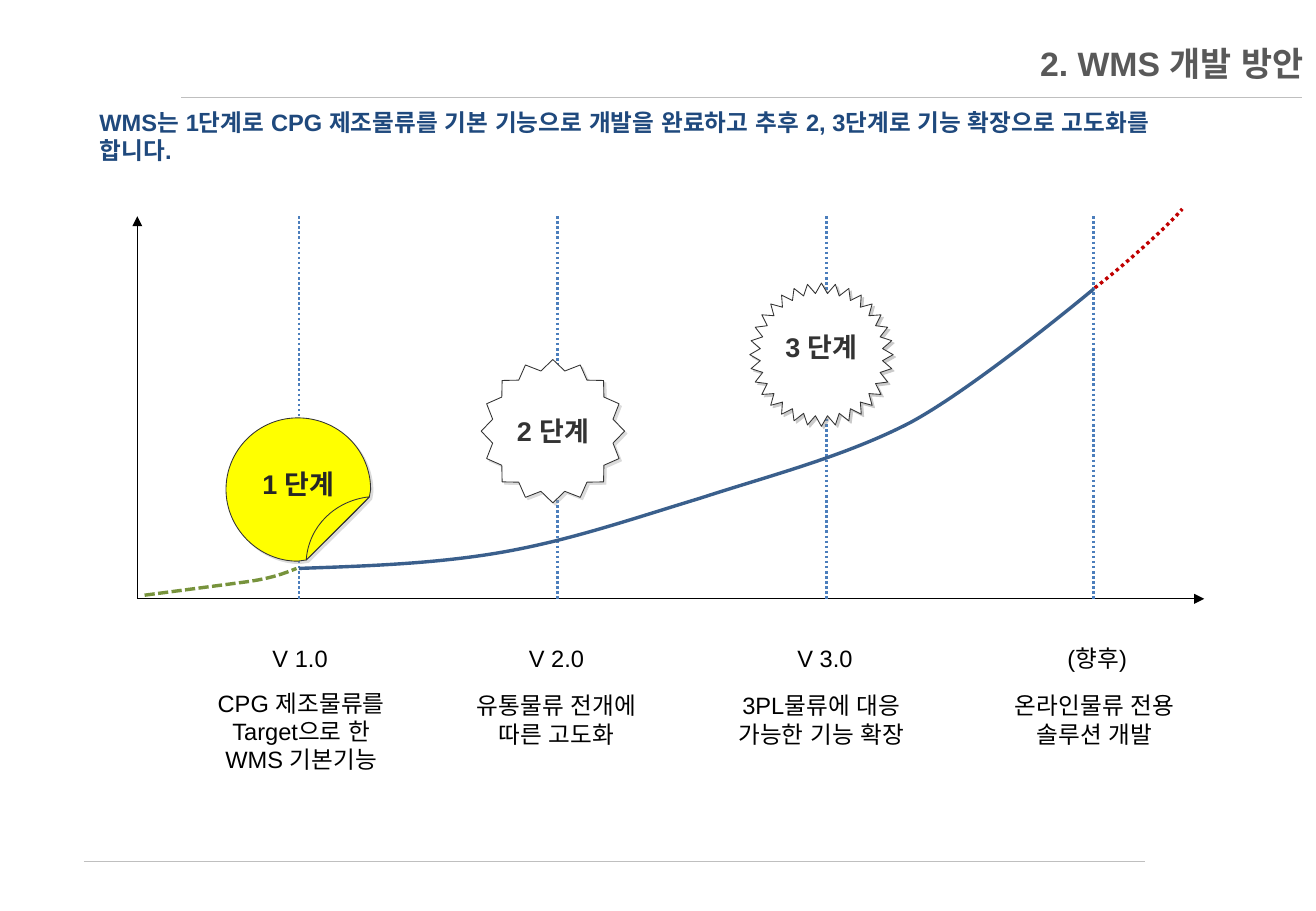
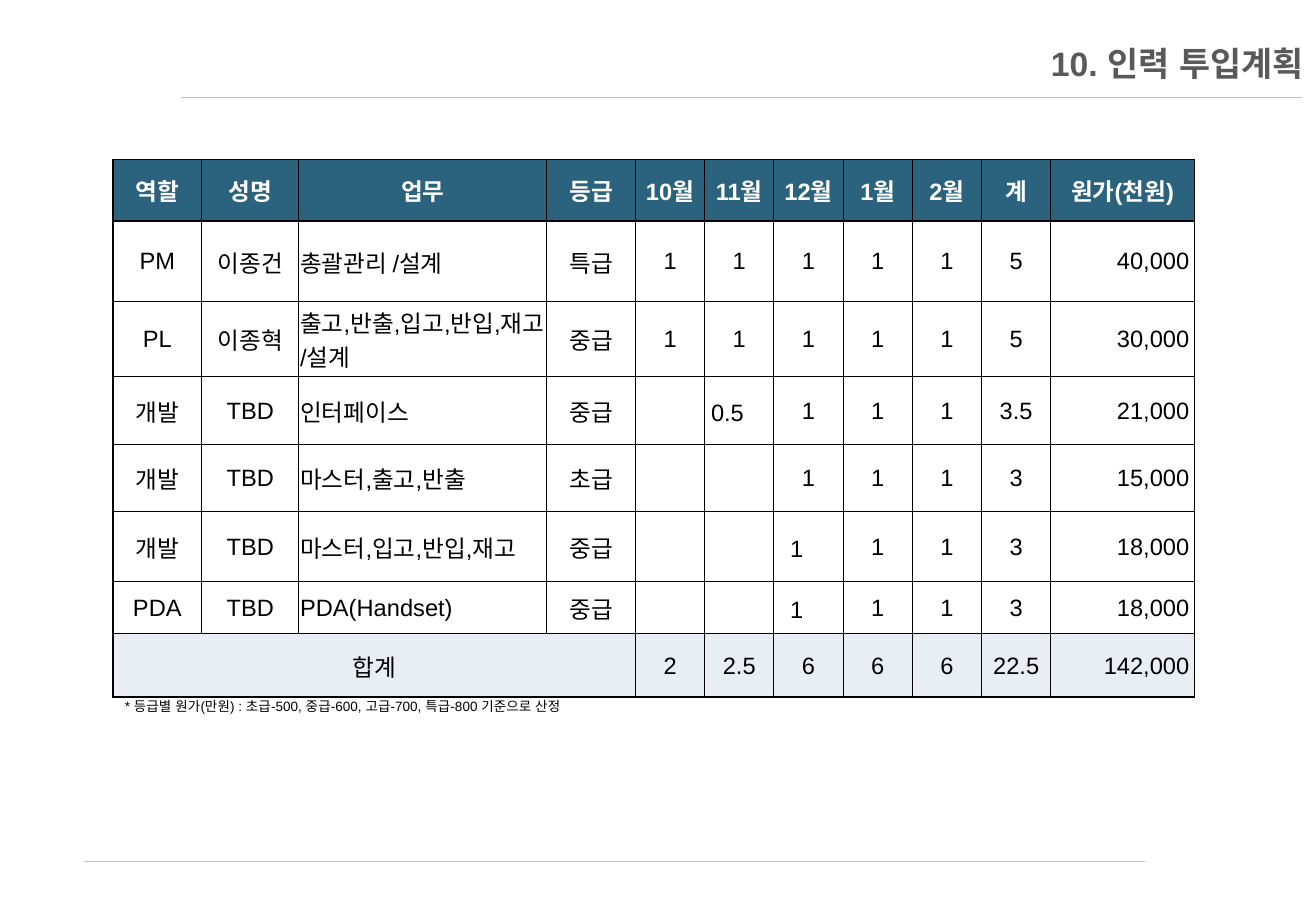
from lxml import etree
from pptx import Presentation
from pptx.dml.color import RGBColor
from pptx.enum.dml import MSO_LINE
from pptx.enum.shapes import MSO_CONNECTOR, MSO_SHAPE
from pptx.enum.text import MSO_ANCHOR, MSO_AUTO_SIZE, PP_ALIGN
from pptx.oxml.ns import qn
from pptx.util import Inches, Pt

LEFT, CENTER, RIGHT = PP_ALIGN.LEFT, PP_ALIGN.CENTER, PP_ALIGN.RIGHT
MIDDLE = MSO_ANCHOR.MIDDLE
DOT, DASH = MSO_LINE.ROUND_DOT, MSO_LINE.SQUARE_DOT
STRAIGHT = MSO_CONNECTOR.STRAIGHT
STAR_16, STAR_32 = MSO_SHAPE.STAR_16_POINT, MSO_SHAPE.STAR_32_POINT
NO_FIT, GROW = MSO_AUTO_SIZE.NONE, MSO_AUTO_SIZE.SHAPE_TO_FIT_TEXT


class Theme:
    font = "Arial"
    title_size, badge_size, body_size, note_size = 20, 16, 14, 8
    black, white = "000000", "FFFFFF"
    title_top, title_bottom = "595959", "262626"
    rule, message, guide = "BFBFBF", "1F497D", "4B7EBC"
    past, growth, future = "77933C", "3A5F8C", "C00000"
    badge_line, badge_active = "333333", "FFFF00"
    shadow, shadow_dark = "A6A6A6", "7F7F7F"
    header, total = "2B637F", "E9EDF4"


rgb = RGBColor.from_string


def write(tf, text, size, color, bold=False, align=LEFT, spacing=None, east_asian=True):
    tf.text = text
    for p in tf.paragraphs:
        p.alignment = align
        if spacing:
            p.line_spacing = Pt(spacing)
        for r in p.runs:
            r.font.name = Theme.font
            r.font.size = Pt(size)
            r.font.bold = bold
            r.font.color.rgb = rgb(color)
            if east_asian:
                latin = r.font._element.find(qn("a:latin"))
                latin.addnext(latin.makeelement(qn("a:ea"), {"typeface": Theme.font}))


def add_line(s, x1, y1, x2, y2, color, width, dash=None, arrow=False):
    line = s.shapes.add_connector(STRAIGHT, Inches(x1), Inches(y1), Inches(x2), Inches(y2))
    line.line.color.rgb = rgb(color)
    line.line.width = Pt(width)
    if dash:
        line.line.dash_style = dash
    if arrow:
        etree.SubElement(line.line._get_or_add_ln(), qn("a:tailEnd"), type="triangle")
    etree.SubElement(line.element.spPr, qn("a:effectLst"))
    return line


prs = Presentation()
prs.slide_width, prs.slide_height = Inches(10.83), Inches(7.5)
layout = prs.slide_layouts[5]

# Slides with their titles
slides = []
for title in ("2. WMS 개발 방안", "10. 인력 투입계획"):
    s = prs.slides.add_slide(layout)
    sp = s.shapes.title
    sp.left, sp.top, sp.width, sp.height = Inches(1.08), Inches(0.29), Inches(9.75), Inches(0.45)
    tf = sp.text_frame
    write(tf, title, Theme.title_size, Theme.title_top, True, RIGHT)
    tf.auto_size = NO_FIT
    tf.vertical_anchor = MIDDLE
    fill = tf.paragraphs[0].runs[0].font.fill
    fill.gradient()
    fill.gradient_angle = 90
    for stop, color in zip(fill.gradient_stops, (Theme.title_top, Theme.title_bottom)):
        stop.color.rgb = rgb(color)
    slides.append(s)
roadmap, staffing = slides

# Header and footer rules live on the shared layout
for number, (x1, x2, y) in enumerate([(1.49, 10.71, 0.8), (0.69, 9.42, 7.09)]):
    line = add_line(roadmap, x1, y, x2, y, Theme.rule, 0.25, DOT)
    line.element.xpath(".//p:cNvPr")[0].set("id", str(100 + number))
    layout.shapes.element.append(line.element)

# Roadmap: axes and version guides
s = roadmap
axis_x, axis_y, axis_top = 1.13, 4.93, 1.78
add_line(s, axis_x, axis_y, 9.91, axis_y, Theme.black, 0.75, arrow=True)
add_line(s, axis_x, axis_y, axis_x, axis_top, Theme.black, 0.75, arrow=True)
for x in (2.46, 4.59, 6.8, 9):
    add_line(s, x, axis_top, x, axis_y, Theme.guide, 1.5, DOT)

# Outlines: one point is a straight segment, three points are a cubic curve
outlines = [
    ([(1.19, 4.9)], [[(2.03, 4.79)], [(2.24, 4.76), (2.34, 4.72), (2.44, 4.68)]],
     None, Theme.past, 2, DASH),
    ([(2.46, 4.68)], [[(3.04, 4.66), (3.62, 4.64), (4.17, 4.54)],
                      [(4.72, 4.44), (5.21, 4.27), (5.77, 4.1)],
                      [(6.32, 3.92), (6.95, 3.76), (7.49, 3.48)],
                      [(8.03, 3.19), (9, 2.38), (9, 2.38)]],
     None, Theme.growth, 2, None),
    ([(9.01, 2.37)], [[(9.19, 2.23), (9.36, 2.08), (9.48, 1.97)],
                      [(9.6, 1.86), (9.67, 1.79), (9.73, 1.72)]],
     None, Theme.future, 2, DOT),
    ([(2.45, 3.44)], [[(2.13, 3.44), (1.86, 3.7), (1.86, 4.03)],
                      [(1.86, 4.35), (2.13, 4.62), (2.45, 4.62)],
                      [(2.52, 4.61)],
                      [(2.62, 4.51), (2.95, 4.19), (3.04, 4.09)],
                      [(3.04, 4.07), (3.05, 4.05), (3.05, 4.03)],
                      [(3.05, 3.7), (2.78, 3.44), (2.45, 3.44)]],
     Theme.badge_active, Theme.badge_line, 0.5, None),
    ([(3.04, 4.09)], [[(2.76, 4.12), (2.54, 4.33), (2.52, 4.61)],
                      [(3.03, 4.1), (2.53, 4.6), (3.04, 4.09)]],
     Theme.badge_active, Theme.badge_line, 0.5, None),
]
drawn = []
for start, segments, fill, color, width, dash in outlines:
    points = [(Inches(x), Inches(y)) for x, y in sum(segments, start)]
    builder = s.shapes.build_freeform(*points[0])
    builder.add_line_segments(points[1:], close=fill is not None)
    sp = builder.convert_to_shape()
    steps = iter(sp.element.xpath(".//a:lnTo"))
    for segment in segments:
        group = [next(steps) for _ in segment]
        if len(group) == 3:
            curve = group[0].makeelement(qn("a:cubicBezTo"))
            group[0].addprevious(curve)
            for step in group:
                curve.append(step[0])
                step.getparent().remove(step)
    sp.shadow.inherit = False
    if fill:
        sp.fill.solid()
        sp.fill.fore_color.rgb = rgb(fill)
    else:
        sp.fill.background()
    sp.line.color.rgb = rgb(color)
    sp.line.width = Pt(width)
    if dash:
        sp.line.dash_style = dash
    drawn.append(sp)
sticker, fold = drawn[-2:]
s.shapes.add_group_shape([sticker, fold])

# Stage badges
badges = [(sticker, "1 단계", Theme.title_bottom, Theme.shadow, 13)]
for kind, x, y, text, shadow, spacing in [
    (STAR_16, 3.96, 2.96, "2 단계", Theme.shadow, None),
    (STAR_32, 6.17, 2.33, "3 단계", Theme.shadow_dark, 10),
]:
    sp = s.shapes.add_shape(kind, Inches(x), Inches(y), Inches(1.18), Inches(1.18))
    sp.adjustments[0] = 0.428
    sp.shadow.inherit = False
    sp.fill.solid()
    sp.fill.fore_color.rgb = rgb(Theme.white)
    sp.line.color.rgb = rgb(Theme.badge_line)
    sp.line.width = Pt(0.5)
    badges.append((sp, text, Theme.badge_line, shadow, spacing))
for sp, text, color, shadow, spacing in badges:
    tf = sp.text_frame
    write(tf, text, Theme.badge_size, color, True, CENTER, spacing)
    tf.margin_left = tf.margin_right = tf.margin_top = tf.margin_bottom = 0
    tf.vertical_anchor = MIDDLE
    tf.word_wrap = False
    effects = sp.element.spPr.find(qn("a:effectLst"))
    outer = etree.SubElement(effects, qn("a:outerShdw"), blurRad="0", dist=str(Pt(2)),
                             dir=str(45 * 60000), algn="ctr", rotWithShape="0")
    tint = etree.SubElement(outer, qn("a:srgbClr"), val=shadow)
    etree.SubElement(tint, qn("a:alpha"), val="40000")
sticker.text_frame.margin_bottom = Inches(0.01)

# Text boxes: message, versions with captions, cost note
B, N = Theme.body_size, Theme.note_size
boxes = [
    (roadmap, 0.72, 0.84, 9.36, 0.57,
     "WMS는 1단계로 CPG 제조물류를 기본 기능으로 개발을 완료하고 추후 2, 3단계로 기능 확장으로 고도화를 합니다.",
     B, Theme.message, True, LEFT),
    (staffing, 0.93, 5.7, 4.53, 0.24,
     "* 등급별 원가(만원) : 초급-500, 중급-600, 고급-700, 특급-800 기준으로 산정",
     N, Theme.black, False, LEFT),
]
for version_x, version, x, y, height, caption in [
    (1.59, "V 1.0", 1.6, 5.62, 0.81, "CPG 제조물류를 Target으로 한\nWMS 기본기능"),
    (3.7, "V 2.0", 3.7, 5.64, 0.57, "유통물류 전개에 따른 고도화"),
    (5.91, "V 3.0", 5.88, 5.64, 0.57, "3PL물류에 대응 가능한 기능 확장"),
    (8.15, "(향후)", 8.13, 5.64, 0.57, "온라인물류 전용 솔루션 개발"),
]:
    for left, top, h, text in ((version_x, 5.25, 0.34, version), (x, y, height, caption)):
        boxes.append((roadmap, left, top, 1.76, h, text, B, Theme.black, False, CENTER))
for s, x, y, w, h, text, size, color, bold, align in boxes:
    tf = s.shapes.add_textbox(Inches(x), Inches(y), Inches(w), Inches(h)).text_frame
    tf.word_wrap = True
    tf.auto_size = GROW
    write(tf, text, size, color, bold, align)

# Staffing table
rows = [
    ["역할", "성명", "업무", "등급", "10월", "11월", "12월", "1월", "2월", "계", "원가(천원)"],
    ["PM", "이종건", "총괄관리 /설계", "특급", "1", "1", "1", "1", "1", "5", "40,000"],
    ["PL", "이종혁", "출고,반출,입고,반입,재고 /설계", "중급", "1", "1", "1", "1", "1", "5", "30,000"],
    ["개발", "TBD", "인터페이스", "중급", "", "0.5　", "1", "1", "1", "3.5", "21,000"],
    ["개발", "TBD", "마스터,출고,반출", "초급", "", "", "1", "1", "1", "3", "15,000"],
    ["개발", "TBD", "마스터,입고,반입,재고", "중급", "", "", "1　", "1", "1", "3", "18,000"],
    ["PDA", "TBD", "PDA(Handset)", "중급", "", "", "1　", "1", "1", "3", "18,000"],
    ["합계", "", "", "", "2", "2.5", "6", "6", "6", "22.5", "142,000"],
]
widths = [0.73, 0.8, 2.04, 0.73] + [0.57] * 6 + [1.18]
heights = [0.51, 0.66, 0.62, 0.56, 0.55, 0.58, 0.43, 0.52]
TASK, COST, LAST = 2, len(widths) - 1, len(rows) - 1
table = staffing.shapes.add_table(len(rows), len(widths), Inches(0.93), Inches(1.31),
                                  Inches(sum(widths)), Inches(sum(heights))).table
table.first_row = table.horz_banding = False
for column, width in zip(table.columns, widths):
    column.width = Inches(width)
for row, height in zip(table.rows, heights):
    row.height = Inches(height)
for i, values in enumerate(rows):
    head = i == 0
    back = {0: Theme.header, LAST: Theme.total}.get(i, Theme.white)
    for j, value in enumerate(values):
        cell = table.cell(i, j)
        tight = 0 < i < LAST and j in (1, TASK)
        cell.margin_left = cell.margin_right = Inches(0.01 if tight else 0.04)
        cell.margin_top, cell.margin_bottom = Inches(0.01), 0
        cell.vertical_anchor = MIDDLE
        align = CENTER
        if not head and j == COST:
            align = RIGHT
        elif tight and j == TASK:
            align = LEFT
        if value:
            write(cell.text_frame, value, B, Theme.white if head else Theme.black,
                  head, align, east_asian=False)
        tcPr = cell._tc.get_or_add_tcPr()
        for side in ("a:lnL", "a:lnR", "a:lnT", "a:lnB"):
            ln = etree.SubElement(tcPr, qn(side), w=str(Pt(0.75)))
            etree.SubElement(etree.SubElement(ln, qn("a:solidFill")), qn("a:srgbClr"), val=Theme.black)
        cell.fill.solid()
        cell.fill.fore_color.rgb = rgb(back)
table.cell(LAST, 0).merge(table.cell(LAST, 3))

prs.save("out.pptx")
